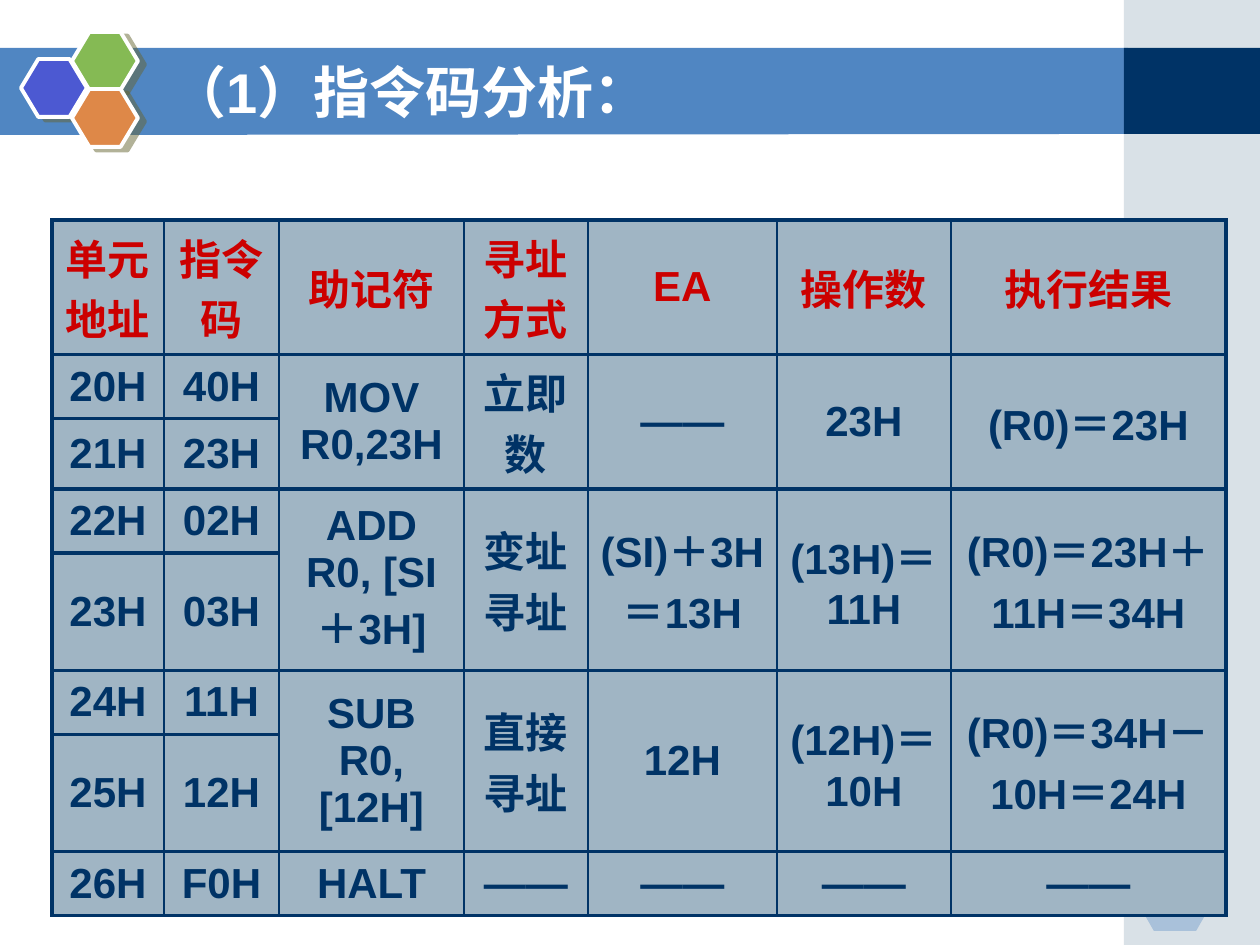
import lxml.etree
import pptx
import pptx.dml.color
import pptx.enum.shapes
import pptx.enum.text
import pptx.oxml.ns
import pptx.util

SHAPE = pptx.enum.shapes.MSO_SHAPE
MIDDLE = pptx.enum.text.MSO_ANCHOR.MIDDLE
ALIGN = pptx.enum.text.PP_ALIGN
NAVY, BLUE, GREY, RED, WHITE = "003366", "5086C2", "A0B5C4", "CC0000", "FFFFFF"
DASH = "――"
COLS = [112, 115, 185, 124, 189, 174, 275]
HIGHS = [113, 64, 64, 64, 64, 64, 68, 64]
# None continues the cell above
ROWS = [
    ["单元地址", "指令码", "助记符", "寻址方式", "EA", "操作数", "执行结果"],
    ["20H", "40H", "MOV R0,23H", "立即数", DASH, "23H", "(R0)＝23H"],
    ["21H", "23H"] + [None] * 5,
    ["22H", "02H", "ADD R0, [SI＋3H]", "变址寻址", "(SI)＋3H＝13H",
     "(13H)＝11H", "(R0)＝23H＋11H＝34H"],
    ["23H", "03H"] + [None] * 5,
    ["24H", "11H", "SUB R0, [12H]", "直接寻址", "12H",
     "(12H)＝10H", "(R0)＝34H－10H＝24H"],
    ["25H", "12H"] + [None] * 5,
    ["26H", "F0H", "HALT"] + [DASH] * 4,
]


def px(num):
    return pptx.util.Emu(round(num * 914400 / 126))


def rgb(code):
    return pptx.dml.color.RGBColor.from_string(code)


def sub(node, tag, **attrs):
    """Append a DrawingML child element."""
    return lxml.etree.SubElement(
        node, pptx.oxml.ns.qn("a:" + tag), {k: str(v) for k, v in attrs.items()})


def paint(shape, color, alpha=100):
    shape.shadow.inherit = False
    shape.fill.solid()
    shape.fill.fore_color.rgb = rgb(color)
    shape.line.fill.background()
    if alpha < 100:
        fill = shape._element.spPr.find(pptx.oxml.ns.qn("a:solidFill"))
        sub(fill[0], "alpha", val=alpha * 1000)


def add_block(slide, kind, box, color, alpha=100):
    shape = slide.shapes.add_shape(kind, *map(px, box))
    paint(shape, color, alpha)
    return shape


def add_hex(slide, box, color, adj, alpha=100):
    shape = add_block(slide, SHAPE.HEXAGON, box, color, alpha)
    shape.adjustments[0] = adj
    return shape


def add_badge(slide, left, top, color):
    """Draw a white-edged hexagon with an offset shadow."""
    shape = add_hex(slide, (left, top, 66, 58), color, 0.3)
    shape.line.color.rgb = rgb(WHITE)
    shape.line.width = pptx.util.Pt(2.25)
    effect = shape._element.spPr.find(pptx.oxml.ns.qn("a:effectLst"))
    shade = sub(effect, "outerShdw", blurRad=0, dist=pptx.util.Pt(4.5),
                dir=27 * 60000, algn="ctr", rotWithShape=0)
    sub(sub(shade, "srgbClr", val="666633"), "alpha", val=50000)


def add_band(slide):
    form = slide.shapes.build_freeform(px(-1), px(48))
    form.add_line_segments(
        [(px(1128), px(48)), (px(1128), px(134)), (px(-1), px(135))], close=True)
    paint(form.convert_to_shape(), BLUE)


def add_text(frame, text, size, color, align):
    frame.vertical_anchor = MIDDLE
    para = frame.paragraphs[0]
    para.alignment = align
    run = para.add_run()
    run.text = text
    font = run.font
    font.name, font.size, font.bold = "Arial", pptx.util.Pt(size), True
    font.color.rgb = rgb(color)


def set_title(slide, text):
    title = slide.shapes.title
    slide.shapes._spTree.append(title._element)
    title.left, title.top, title.width, title.height = map(px, (158, 70, 924, 42))
    frame = title.text_frame
    frame.auto_size = pptx.enum.text.MSO_AUTO_SIZE.NONE
    frame.word_wrap = True
    add_text(frame, text, 32, WHITE, ALIGN.LEFT)


def style_cell(cell, col):
    props = cell._tc.get_or_add_tcPr()
    sides = {"L": 2.25 if col == 0 else 1,
             "R": 2.25 if col == len(COLS) - 1 else 1, "T": 2.25, "B": 2.25}
    for side, width in sides.items():
        line = sub(props, "ln" + side, w=pptx.util.Pt(width))
        sub(sub(line, "solidFill"), "srgbClr", val=NAVY)
    cell.fill.solid()
    cell.fill.fore_color.rgb = rgb(GREY)


def add_grid(slide):
    box = map(px, (52, 220, sum(COLS), sum(HIGHS)))
    table = slide.shapes.add_table(len(ROWS), len(COLS), *box).table
    table.first_row = table.horz_banding = False
    for col, width in zip(table.columns, COLS):
        col.width = px(width)
    for row, high in zip(table.rows, HIGHS):
        row.height = px(high)
    for r, row in enumerate(ROWS):
        for c, text in enumerate(row):
            cell = table.cell(r, c)
            style_cell(cell, c)
            if text is None:
                table.cell(r - 1, c).merge(cell)
            else:
                add_text(cell.text_frame, text, 24, NAVY if r else RED, ALIGN.CENTER)
                cell.vertical_anchor = MIDDLE


def main():
    deck = pptx.Presentation()
    deck.slide_width, deck.slide_height = px(1260), px(945)
    slide = deck.slides.add_slide(deck.slide_layouts[5])
    add_band(slide)
    add_block(slide, SHAPE.RECTANGLE, (1124, 0, 136, 945), GREY, 40)
    add_block(slide, SHAPE.RECTANGLE, (1124, 48, 136, 86), NAVY)
    for left, top in [(1061, 819), (1134, 777), (1133, 858)]:
        add_hex(slide, (left, top, 84, 73), BLUE, 0.286, 35)
    for left, top, color in [(21, 59, "4C59D2"), (72, 32, "85BA54"), (72, 89, "DE8848")]:
        add_badge(slide, left, top, color)
    set_title(slide, "（1）指令码分析：")
    add_grid(slide)
    deck.save("out.pptx")


if __name__ == "__main__":
    main()
